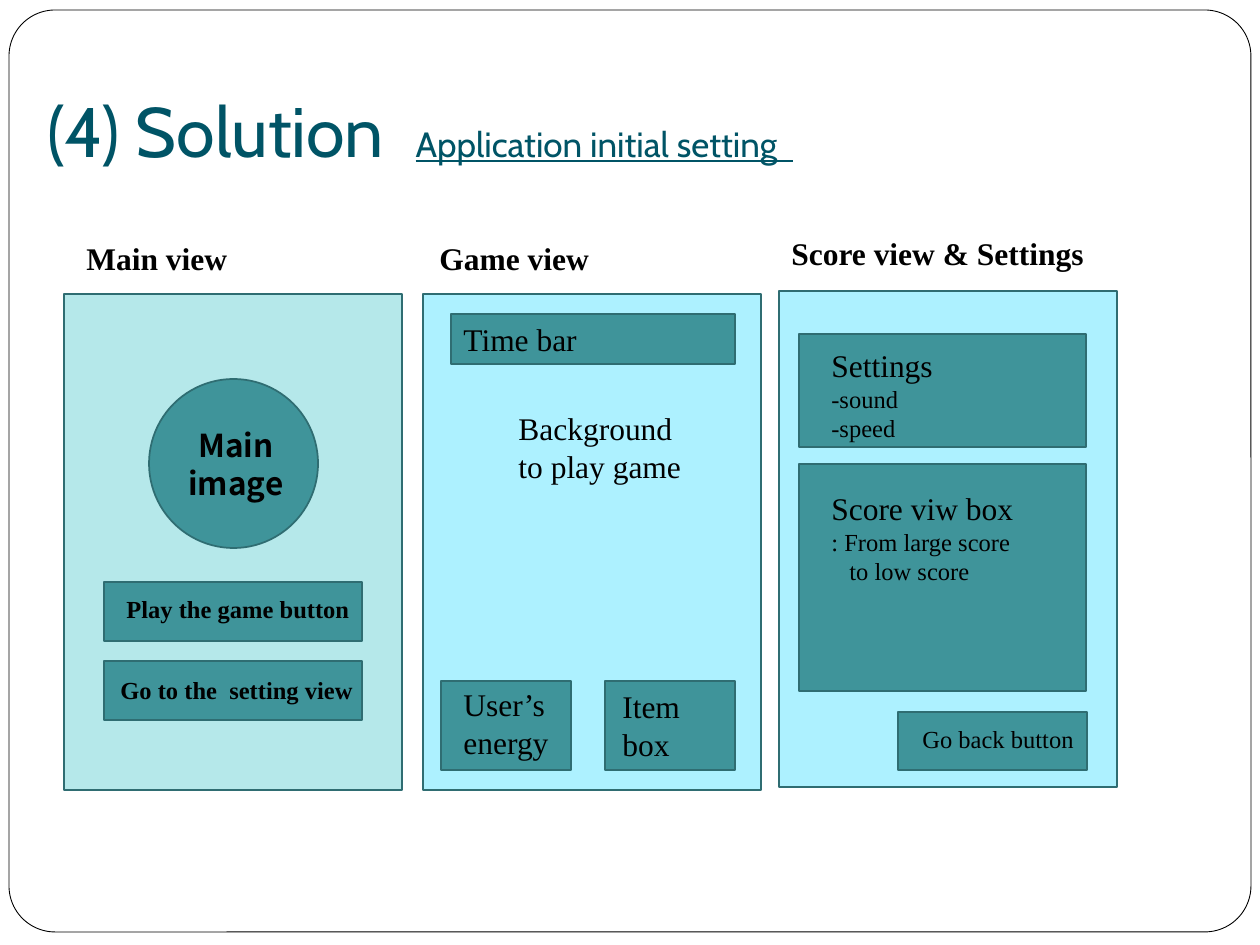
from dataclasses import dataclass

from pptx import Presentation
from pptx import util as u
from pptx.dml.color import RGBColor
from pptx.enum import shapes, text

RECT = shapes.MSO_SHAPE.RECTANGLE
OVAL = shapes.MSO_SHAPE.OVAL
ROUNDED = shapes.MSO_SHAPE.ROUNDED_RECTANGLE


@dataclass(frozen=True)
class Theme:
    white: str = "FFFFFF"
    ink: str = "000000"
    heading: str = "005466"
    outline: str = "2F6D72"
    control: str = "3F949A"
    mint: str = "B5E8EA"
    sky: str = "ADF1FF"
    heading_font: str = "Cabin"
    body_font: str = "Times New Roman"
    badge_font: str = "Noto Sans CJK KR"
    title_size: int = 40
    subtitle_size: int = 20
    body_size: int = 18
    small_size: int = 14
    line_spacing: float = 1.2


THEME = Theme()


@dataclass(frozen=True)
class Box:
    left: int
    top: int
    width: int
    height: int
    fill: str = THEME.control
    line: str = THEME.outline
    weight: float = 1
    preset: shapes.MSO_SHAPE = RECT


@dataclass(frozen=True)
class Line:
    wording: str
    size: int = THEME.body_size
    indent: int = 0


@dataclass(frozen=True)
class Label:
    left: int
    top: int
    width: int
    height: int
    lines: tuple[Line, ...]
    bold: bool = False
    font: str = THEME.body_font
    align: text.PP_ALIGN = text.PP_ALIGN.LEFT


def px(length: int) -> int:
    return u.Emu(round(length * 914400 / 126))


def draw_box(slide, box: Box):
    area = slide.shapes.add_shape(
        box.preset, px(box.left), px(box.top), px(box.width), px(box.height)
    )
    area.shadow.inherit = False
    area.fill.solid()
    area.fill.fore_color.rgb = RGBColor.from_string(box.fill)
    area.line.color.rgb = RGBColor.from_string(box.line)
    area.line.width = u.Pt(box.weight)
    return area


def add_frame(slide, left: int, top: int, width: int, height: int):
    frame = slide.shapes.add_textbox(px(left), px(top), px(width), px(height)).text_frame
    frame.word_wrap = True
    return frame


def draw_label(slide, label: Label) -> None:
    frame = add_frame(slide, label.left, label.top, label.width, label.height)
    for index, line in enumerate(label.lines):
        paragraph = frame.paragraphs[0] if index == 0 else frame.add_paragraph()
        paragraph.text = line.wording
        paragraph.alignment = label.align
        paragraph.line_spacing = u.Pt(line.size * THEME.line_spacing)
        paragraph.font.name = label.font
        paragraph.font.size = u.Pt(line.size)
        paragraph.font.bold = label.bold
        paragraph.font.color.rgb = RGBColor.from_string(THEME.ink)
        if line.indent:
            paragraph._p.get_or_add_pPr().set("marL", str(px(line.indent)))


def draw_title(slide) -> None:
    frame = add_frame(slide, 35, 26, 1071, 158)
    frame.vertical_anchor = text.MSO_ANCHOR.BOTTOM
    frame.margin_bottom = u.Inches(0.1)
    heading = frame.paragraphs[0]
    heading.font.name = THEME.heading_font
    heading.font.color.rgb = RGBColor.from_string(THEME.heading)
    solution = heading.add_run()
    solution.text = "(4) Solution  "
    solution.font.size = u.Pt(THEME.title_size)
    subtitle = heading.add_run()
    subtitle.text = "Application initial setting  "
    subtitle.font.size = u.Pt(THEME.subtitle_size)
    subtitle.font.underline = True


def small(wording: str, indent: int = 0) -> Line:
    return Line(wording, THEME.small_size, indent)


BORDER = Box(9, 10, 1242, 922, THEME.white, THEME.ink, 0.5, ROUNDED)

BOXES = (
    Box(64, 294, 338, 496, THEME.mint),
    Box(423, 294, 338, 496, THEME.sky),
    Box(779, 291, 338, 496, THEME.sky),
    Box(149, 379, 169, 169, preset=OVAL),
    *(Box(104, top, 258, 59) for top in (582, 661)),
    Box(451, 314, 284, 50),
    *(Box(left, 681, 130, 89) for left in (441, 605)),
    Box(799, 334, 287, 113),
    Box(799, 464, 287, 227),
    Box(898, 712, 189, 58),
)

LABELS = (
    Label(74, 233, 307, 50, (Line("Main view"),), True),
    Label(427, 233, 307, 50, (Line("Game view"),), True),
    Label(779, 228, 338, 50, (Line("Score view & Settings"),), True),
    Label(159, 420, 154, 89, (Line("Main"), Line("image")), True,
          THEME.badge_font, text.PP_ALIGN.CENTER),
    Label(114, 588, 258, 43, (small("Play the game button"),), True),
    Label(108, 669, 263, 43, (small("Go to the  setting view"),), True),
    Label(451, 679, 268, 89, (Line("User’s"), Line("energy"))),
    Label(451, 403, 268, 89,
          (Line("Background", indent=55), Line("to play game", indent=55))),
    Label(451, 314, 268, 50, (Line("Time bar"),)),
    Label(610, 681, 100, 89, (Line("Item"), Line("box"))),
    Label(819, 340, 228, 186, (Line("Settings"), small("-sound"), small("-speed"))),
    Label(819, 483, 228, 111,
          (Line("Score viw box"), small(": From large score"), small("to low score", 18))),
    Label(910, 718, 273, 43, (small("Go back button"),)),
)


def main() -> None:
    deck = Presentation()
    deck.slide_width = px(1260)
    deck.slide_height = px(945)
    slide = deck.slides.add_slide(deck.slide_layouts[6])
    border = draw_box(slide, BORDER)
    border.adjustments[0] = 0.05
    draw_title(slide)
    for box in BOXES:
        draw_box(slide, box)
    for label in LABELS:
        draw_label(slide, label)
    deck.save("out.pptx")


if __name__ == "__main__":
    main()
